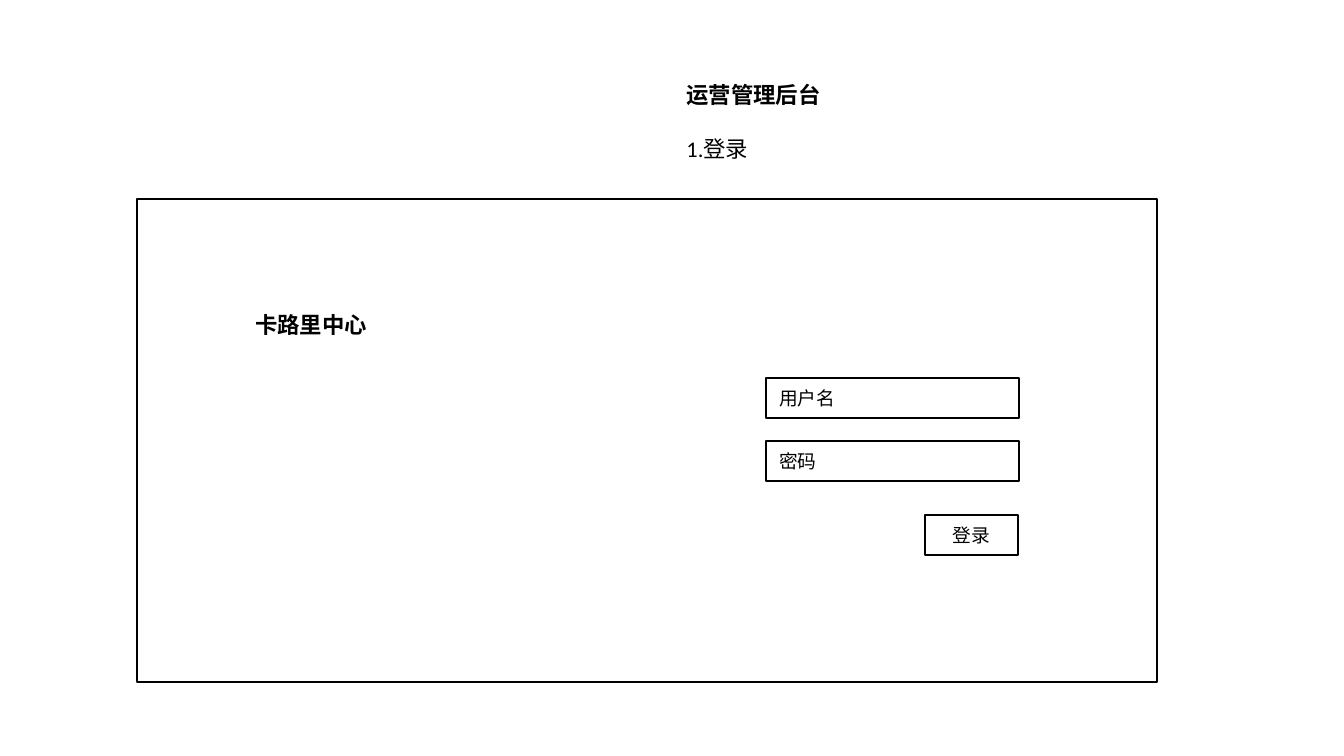
from pptx import Presentation
from pptx.dml.color import RGBColor
from pptx.enum.shapes import MSO_SHAPE as Shape
from pptx.enum.text import MSO_ANCHOR as Anchor, MSO_AUTO_SIZE as Fit, PP_ALIGN as Align
from pptx.util import Pt

WIDE, HIGH = 1344, 756
SCALE = 9144000 / WIDE
INK = "000000"


def px(n):
    """Turn px into EMU."""
    return round(n * SCALE)


def tint(code):
    """Turn a hex string into a colour."""
    return RGBColor.from_string(code)


def style(para, size, bold=False, align=Align.LEFT):
    """Set the font and alignment of a paragraph."""
    para.alignment = align
    font = para.font
    font.name, font.size, font.bold = "Calibri", Pt(size), bold
    font.color.rgb = tint(INK)


def outline(slide, x, y, w, h):
    """Draw an unfilled rectangle with a thin line."""
    rect = slide.shapes.add_shape(Shape.RECTANGLE, px(x), px(y), px(w), px(h))
    rect.shadow.inherit = False
    rect.fill.background()
    rect.line.color.rgb = tint(INK)
    rect.line.width = Pt(1)
    return rect


def control(slide, x, y, w, h, text, align=Align.LEFT):
    """Draw a labelled field or button."""
    frame = outline(slide, x, y, w, h).text_frame
    frame.text = text
    frame.vertical_anchor = Anchor.MIDDLE
    style(frame.paragraphs[0], 10, align=align)


def heading(slide, x, y, w, h):
    """Place the title with the section line under it."""
    title = slide.shapes.title
    title.left, title.top, title.width, title.height = map(px, (x, y, w, h))
    frame = title.text_frame
    frame.text = "运营管理后台\n1.登录"
    frame.word_wrap = False
    frame.auto_size = Fit.SHAPE_TO_FIT_TEXT
    frame.vertical_anchor = Anchor.TOP
    head, step = frame.paragraphs
    style(head, 12, bold=True)
    style(step, 12)
    step.space_before = Pt(15)


def brand(slide, x, y, w, h):
    """Place the name of the site."""
    frame = slide.shapes.add_textbox(px(x), px(y), px(w), px(h)).text_frame
    frame.text = "卡路里中心"
    frame.word_wrap = False
    frame.auto_size = Fit.SHAPE_TO_FIT_TEXT
    style(frame.paragraphs[0], 12, bold=True)


def form(slide, x, y, w):
    """Stack the input fields above a right-hand button."""
    high, pitch, wide = 40, 63, 93
    for i, text in enumerate(("用户名", "密码")):
        control(slide, x, y + i * pitch, w, high, text)
    control(slide, x + w - wide - 1, y + 137, wide, high, "登录", Align.CENTER)


def login(slide, x, y, w, h):
    """Draw the login page inside its frame."""
    outline(slide, x, y, w, h)
    brand(slide, x + 105, y + 106, 140, 40)
    form(slide, x + 629, y + 179, 253)


def main():
    """Build and save the slide."""
    deck = Presentation()
    deck.slide_width, deck.slide_height = px(WIDE), px(HIGH)
    slide = deck.slides.add_slide(deck.slide_layouts[5])
    heading(slide, 673, 74, 163, 95)
    login(slide, 137, 199, 1020, 483)
    deck.save("out.pptx")


if __name__ == "__main__":
    main()
